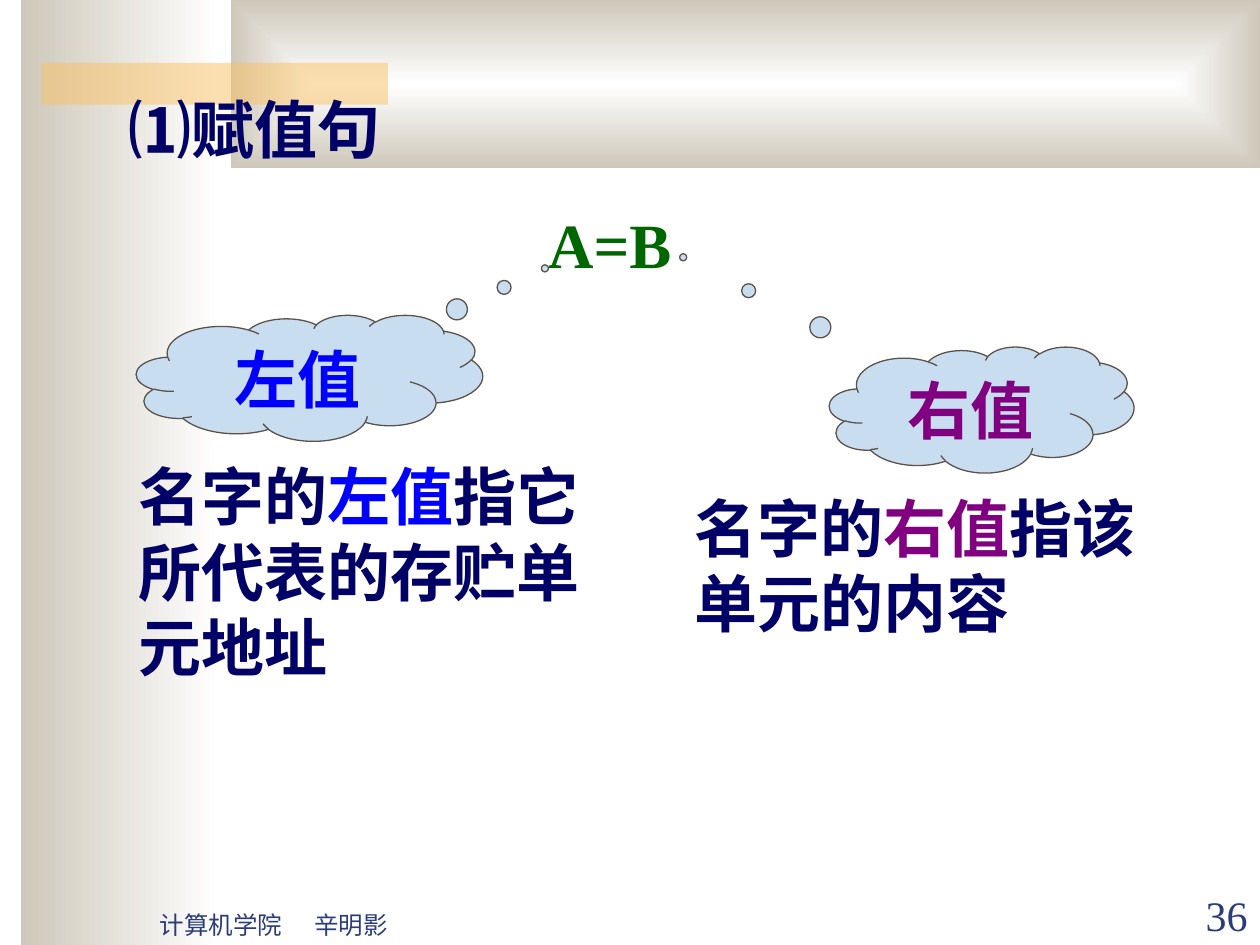
"""Build the slide on assignment statements: left value and right value."""
from lxml import etree
from pptx import Presentation
from pptx.dml.color import RGBColor
from pptx.enum.shapes import MSO_SHAPE
from pptx.enum.text import MSO_ANCHOR, MSO_AUTO_SIZE, PP_ALIGN
from pptx.oxml.ns import qn
from pptx.util import Cm, Pt

RECTANGLE, CLOUD = MSO_SHAPE.RECTANGLE, MSO_SHAPE.CLOUD_CALLOUT
TOP, BOTTOM = MSO_ANCHOR.TOP, MSO_ANCHOR.BOTTOM
LEFT, CENTER, RIGHT = PP_ALIGN.LEFT, PP_ALIGN.CENTER, PP_ALIGN.RIGHT
NO_AUTOFIT = MSO_AUTO_SIZE.NONE

WHITE = RGBColor(0xFF, 0xFF, 0xFF)
BEIGE = RGBColor(0xCE, 0xC8, 0xBA)
AMBER = RGBColor(0xFA, 0xC1, 0x64)
NAVY = RGBColor(0x00, 0x00, 0x66)
GREEN = RGBColor(0x00, 0x66, 0x00)
BLUE = RGBColor(0x00, 0x00, 0xFF)
PURPLE = RGBColor(0x80, 0x00, 0x80)
CLOUD_BLUE = RGBColor(0xC9, 0xDD, 0xF1)
CLOUD_LINE = RGBColor(0x5B, 0x52, 0x49)
FOOTER_BLUE = RGBColor(0x2A, 0x3D, 0x7A)


def write(frame, parts, size=36, bold=True, align=LEFT, anchor=TOP, wrap=True):
    """Fill a text frame with one paragraph of (text, colour) parts."""
    frame.auto_size = NO_AUTOFIT
    frame.word_wrap = wrap
    frame.vertical_anchor = anchor
    paragraph = frame.paragraphs[0]
    paragraph.alignment = align
    for text, colour in parts:
        run = paragraph.add_run()
        run.text = text
        run.font.name = "Times New Roman"
        run.font.size = Pt(size)
        run.font.bold = bold
        run.font.color.rgb = colour


def add_panel(kind, left, top, width, height):
    """Add a shape without shadow, measured in centimetres."""
    panel = slide.shapes.add_shape(kind, Cm(left), Cm(top), Cm(width), Cm(height))
    panel.shadow.inherit = False
    return panel


prs = Presentation()
prs.slide_width, prs.slide_height = Cm(25.4), Cm(19.05)
slide = prs.slides.add_slide(prs.slide_layouts[5])

side_band = add_panel(RECTANGLE, 0.42, 0, 4.02, 19.05)
top_band = add_panel(RECTANGLE, 4.66, 0, 20.74, 3.39)
for band in (side_band, top_band):
    band.line.fill.background()
    band.fill.gradient()
    for stop, colour in zip(band.fill.gradient_stops, (WHITE, BEIGE)):
        stop.color.rgb = colour
side_band.fill.gradient_angle = 180

linear = top_band.element.find(".//" + qn("a:lin"))
radial = etree.Element(qn("a:path"), {"path": "rect"})
etree.SubElement(radial, qn("a:fillToRect"), dict.fromkeys("ltrb", "50000"))
linear.getparent().replace(linear, radial)

accent = add_panel(RECTANGLE, 0.84, 1.27, 6.98, 0.84)
accent.line.fill.background()
accent.fill.solid()
accent.fill.fore_color.rgb = AMBER
accent_colour = accent.element.spPr.find(".//" + qn("a:srgbClr"))
etree.SubElement(accent_colour, qn("a:alpha"), {"val": "50000"})

title = slide.shapes.title
title.left, title.top, title.width, title.height = Cm(2.34), Cm(1.7), Cm(5.87), Cm(1.78)
write(title.text_frame, [("⑴赋值句", NAVY)], wrap=False)
slide.shapes._spTree.append(title.element)

assignment = slide.shapes.add_textbox(Cm(10.8), Cm(4.02), Cm(6.35), Cm(1.78))
write(assignment.text_frame, [("A=B", GREEN)])

clouds = [
    ("左值", BLUE, 2.75, 6.35, 6.98, (0.68, -0.87)),
    ("右值", PURPLE, 16.72, 6.99, 6.14, (-0.98, -1.21)),
]
for term, colour, left, top, width, pointer in clouds:
    cloud = add_panel(CLOUD, left, top, width, 2.54)
    cloud.adjustments[0], cloud.adjustments[1] = pointer
    cloud.fill.solid()
    cloud.fill.fore_color.rgb = CLOUD_BLUE
    cloud.line.color.rgb = CLOUD_LINE
    cloud.line.width = Pt(0.75)
    write(cloud.text_frame, [(term, colour)], align=CENTER)

definitions = [
    ("左值", BLUE, "指它所代表的存贮单元地址", 2.54, 9.1, 4.83),
    ("右值", PURPLE, "指该 单元的内容", 13.76, 9.74, 3.3),
]
for term, colour, meaning, left, top, height in definitions:
    definition = slide.shapes.add_textbox(Cm(left), Cm(top), Cm(9.95), Cm(height))
    write(definition.text_frame, [("名字的", NAVY), (term, colour), (meaning, NAVY)])

page_number = slide.shapes.add_textbox(Cm(22.86), Cm(17.8), Cm(2.54), Cm(1.27))
write(page_number.text_frame, [("36", FOOTER_BLUE)], 24, False, RIGHT, BOTTOM)

footer = slide.shapes.add_textbox(Cm(2.97), Cm(17.8), Cm(5.29), Cm(1.27))
footer_properties = footer.text_frame.paragraphs[0]._p.get_or_add_pPr()
tab_list = etree.SubElement(footer_properties, qn("a:tabLst"))
etree.SubElement(tab_list, qn("a:tab"), {"pos": str(Cm(3.12)), "algn": "l"})
write(footer.text_frame, [("计算机学院\t辛明影", FOOTER_BLUE)], 14, False, anchor=BOTTOM)

prs.save("out.pptx")
